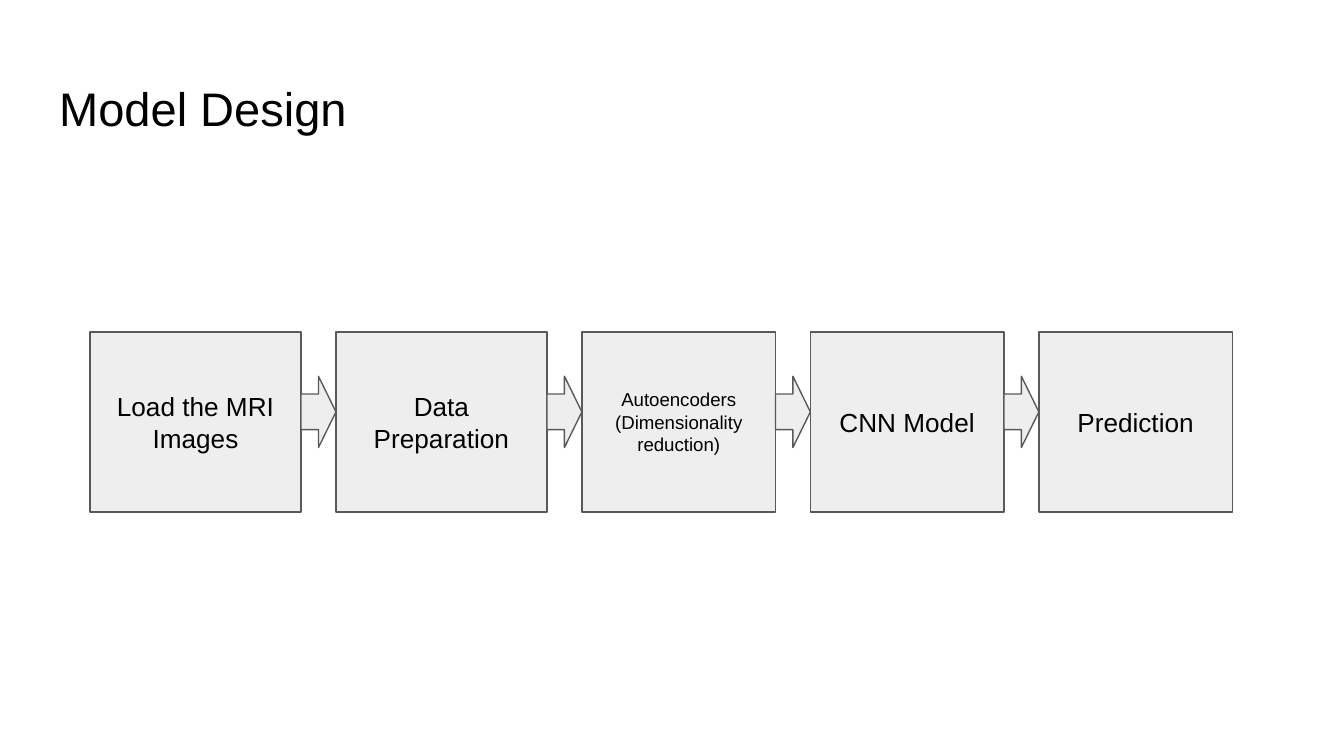
from pptx import Presentation
from pptx.dml.color import RGBColor
from pptx.enum.shapes import MSO_SHAPE
from pptx.enum.text import MSO_ANCHOR, PP_ALIGN
from pptx.util import Inches, Pt

COLORS = {"text": "000000", "fill": "EEEEEE", "line": "595959"}
FONT = "Arial"
LEFT, GAP = 0.67, 0.26
STEP_TOP, STEP_HEIGHT = 2.47, 1.34
ARROW_TOP, ARROW_HEIGHT = 2.8, 0.53

# Paragraphs, box width, font size
STEPS = [
    (["Load the MRI Images"], 1.57, 14),
    (["Data", "Preparation"], 1.57, 14),
    (["Autoencoders", "(Dimensionality reduction)"], 1.44, 10),
    (["CNN Model"], 1.44, 14),
    (["Prediction"], 1.44, 14),
]


def color(name):
    return RGBColor.from_string(COLORS[name])


def set_text(sp, lines, size, align):
    tf = sp.text_frame
    tf.word_wrap = True
    tf.vertical_anchor = MSO_ANCHOR.MIDDLE
    tf.margin_left = tf.margin_right = Inches(0.1)
    tf.margin_top = tf.margin_bottom = Inches(0.1)
    tf.text = "\n".join(lines)
    for p in tf.paragraphs:
        p.alignment = align
        p.font.name = FONT
        p.font.size = Pt(size)
        p.font.color.rgb = color("text")


def add_title(s, text):
    sp = s.shapes.title
    sp.left, sp.top = Inches(0.34), Inches(0.49)
    sp.width, sp.height = Inches(9.32), Inches(0.63)
    set_text(sp, [text], 25.2, PP_ALIGN.LEFT)


def add_outlined_shape(s, kind, x, y, w, h):
    sp = s.shapes.add_shape(kind, Inches(x), Inches(y), Inches(w), Inches(h))
    sp.shadow.inherit = False
    sp.fill.solid()
    sp.fill.fore_color.rgb = color("fill")
    sp.line.color.rgb = color("line")
    sp.line.width = Pt(0.75)
    return sp


def add_flow(s):
    """Place the steps in a row, with an arrow filling each gap."""
    x = LEFT
    for i, (lines, width, size) in enumerate(STEPS):
        if i:
            add_outlined_shape(s, MSO_SHAPE.RIGHT_ARROW, x, ARROW_TOP, GAP, ARROW_HEIGHT)
            x += GAP
        sp = add_outlined_shape(s, MSO_SHAPE.RECTANGLE, x, STEP_TOP, width, STEP_HEIGHT)
        set_text(sp, lines, size, PP_ALIGN.CENTER)
        x += width


def main():
    prs = Presentation()
    prs.slide_width = Inches(10)
    prs.slide_height = prs.slide_width * 9 // 16
    s = prs.slides.add_slide(prs.slide_layouts[5])
    add_title(s, "Model Design")
    add_flow(s)
    prs.save("out.pptx")


if __name__ == "__main__":
    main()
